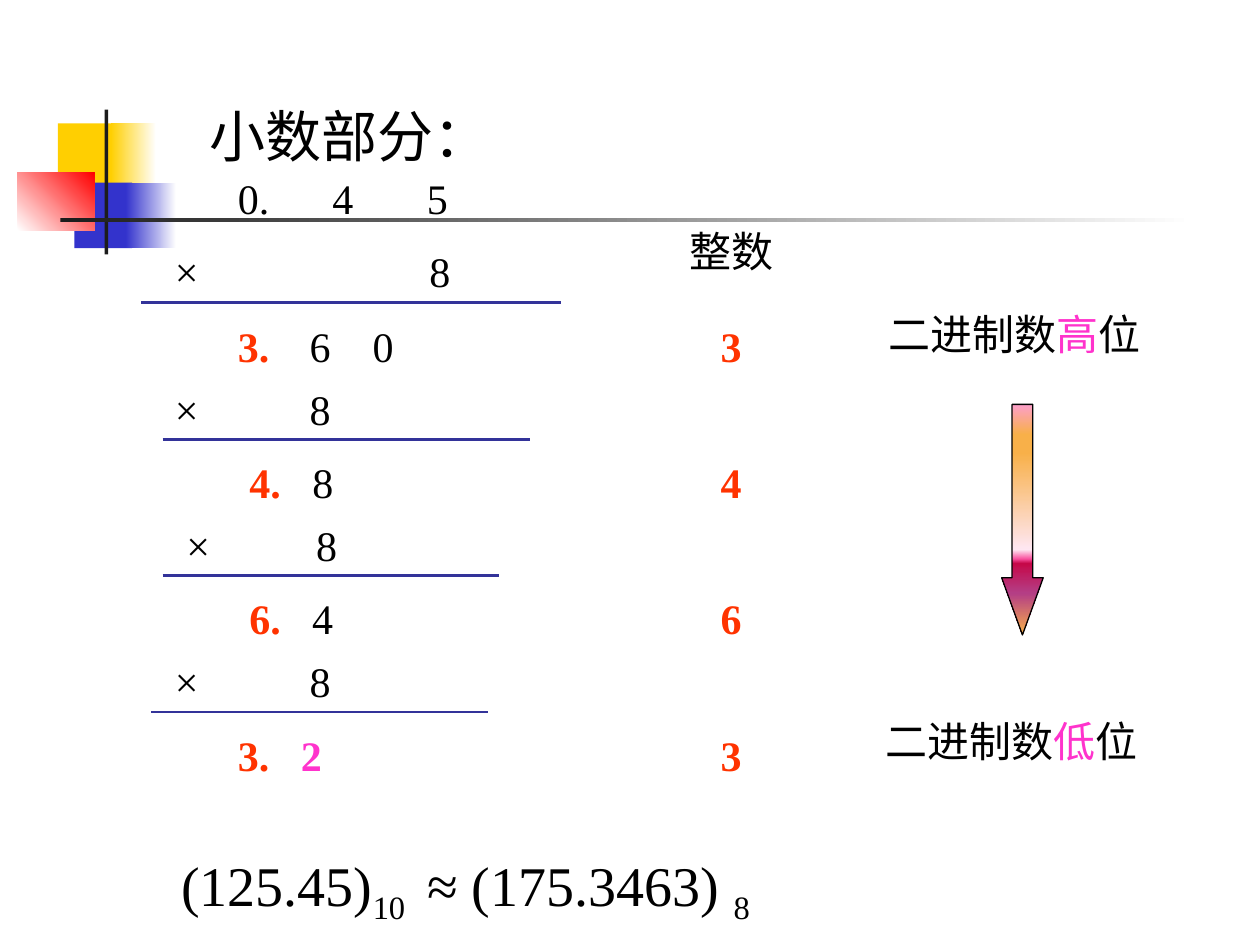
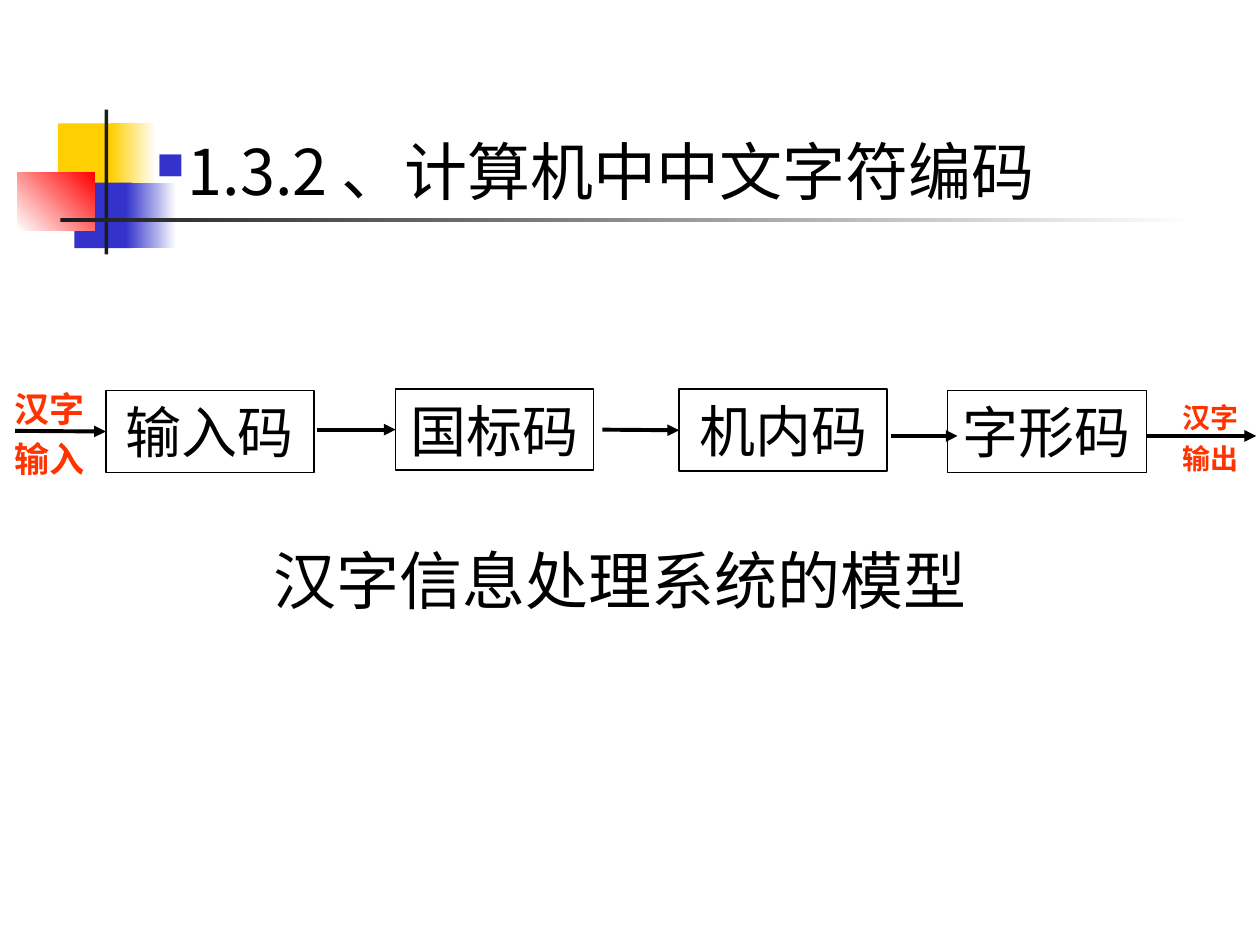
from lxml import etree
from pptx import Presentation
from pptx import util as u
from pptx.dml.color import RGBColor
from pptx.enum import shapes, text
from pptx.oxml import ns

Inches, Pt = u.Inches, u.Pt
BLACK = RGBColor(0x00, 0x00, 0x00)
WHITE = RGBColor(0xFF, 0xFF, 0xFF)
CHARCOAL = RGBColor(0x1C, 0x1C, 0x1C)
YELLOW = RGBColor(0xFF, 0xCF, 0x01)
BLUE = RGBColor(0x33, 0x33, 0xCC)
NAVY = RGBColor(0x33, 0x33, 0x99)
RED = RGBColor(0xFF, 0x00, 0x00)
ORANGE = RGBColor(0xFF, 0x33, 0x00)
PINK = RGBColor(0xFF, 0x33, 0xCC)
AMBER = RGBColor(0xF8, 0xB0, 0x49)
SERIF, SANS, CHINESE = "Times New Roman", "Cabin", "Noto Sans CJK JP"
LEFT, CENTER = text.PP_ALIGN.LEFT, text.PP_ALIGN.CENTER


def write(box, content, size=24, font=SERIF, color=BLACK, bold=False,
          align=LEFT, before=0, tab=0, wrap=True):
    """Fill a box with lines of text, or with one line of (text, format) spans."""
    frame = box.text_frame
    frame.word_wrap = wrap
    frame.auto_size = text.MSO_AUTO_SIZE.NONE
    frame.vertical_anchor = text.MSO_ANCHOR.MIDDLE
    frame.margin_top = frame.margin_bottom = 0
    if isinstance(content, str):
        lines = [[(line, {})] for line in content.split("\n")]
    else:
        lines = [content]
    for number, spans in enumerate(lines):
        para = frame.add_paragraph() if number else frame.paragraphs[0]
        para.alignment = align
        para.space_before = Pt(before if number else 0)
        if tab:
            stops = etree.SubElement(para._p.get_or_add_pPr(), ns.qn("a:tabLst"))
            for step in (1, 2):
                etree.SubElement(stops, ns.qn("a:tab"),
                                 pos=str(Inches(tab * step)), algn="l")
        for words, look in spans:
            span = para.add_run()
            span.text = words
            span.font.size, span.font.bold, span.font.name = Pt(size), bold, font
            span.font.color.rgb = look.get("color", color)
            props = span._r.get_or_add_rPr()
            etree.SubElement(props, ns.qn("a:ea"), typeface=CHINESE)
            if "baseline" in look:
                props.set("baseline", str(look["baseline"]))


def shade(shape, stops, angle=0):
    """Give a shape a linear gradient of (percent, colour) stops."""
    shape.fill.gradient()
    shape.fill.gradient_angle = angle
    stop_list = shape.fill._xPr.find(".//" + ns.qn("a:gsLst"))
    for stop in list(stop_list):
        stop_list.remove(stop)
    for percent, color in stops:
        stop = etree.SubElement(stop_list, ns.qn("a:gs"), pos=str(percent * 1000))
        etree.SubElement(stop, ns.qn("a:srgbClr"), val=str(color))


deck = Presentation()
deck.slide_width, deck.slide_height = Inches(10), Inches(7.5)
layout = deck.slide_layouts[5]
fraction_page = deck.slides.add_slide(layout)
encoding_page = deck.slides.add_slide(layout)

# Shared ornament, kept in the layout behind the placeholders
ORNAMENT = [
    (0.46, 0.98, 0.48, 0.52, YELLOW, None, 0),
    (0.88, 0.98, 0.36, 0.52, YELLOW, WHITE, 0),
    (0.59, 1.45, 0.46, 0.52, BLUE, None, 0),
    (1.0, 1.45, 0.4, 0.52, BLUE, WHITE, 0),
    (0.14, 1.37, 0.61, 0.46, WHITE, RED, 45),
    (0.83, 0.87, 0.03, 1.15, CHARCOAL, None, 0),
    (0.48, 1.73, 9, 0.03, CHARCOAL, WHITE, 0),
]
for number, (x, y, width, height, start, end, angle) in enumerate(ORNAMENT):
    block = fraction_page.shapes.add_shape(
        shapes.MSO_SHAPE.RECTANGLE, Inches(x), Inches(y), Inches(width), Inches(height))
    block.shadow.inherit = False
    block.line.fill.background()
    if end is None:
        block.fill.solid()
        block.fill.fore_color.rgb = start
    else:
        shade(block, [(0, start), (100, end)], angle)
    block.element.nvSpPr.cNvPr.id = 100 + number
    layout.shapes.element.insert(2 + number, block.element)

# Titles
for page, words, at, size, font in [
    (fraction_page, "小数部分：", (1.56, 0.37, 8.44, 1.02), 32, SERIF),
    (encoding_page, "1.3.2 、计算机中中文字符编码", (1.14, 1, 8.11, 0.7), 36, CHINESE),
]:
    title = page.shapes.title
    title.left, title.top, title.width, title.height = map(Inches, at)
    write(title, words, size=size, font=font)

frame = fraction_page.shapes.title.text_frame
frame.vertical_anchor = text.MSO_ANCHOR.BOTTOM
frame.margin_bottom = Inches(0.05)
frame.paragraphs[0].line_spacing = 1.2

# Square bullet of the second title
props = encoding_page.shapes.title.text_frame.paragraphs[0]._p.get_or_add_pPr()
props.set("marL", str(Inches(0.25)))
props.set("indent", str(-Inches(0.25)))
bullet_color = etree.SubElement(props, ns.qn("a:buClr"))
etree.SubElement(bullet_color, ns.qn("a:srgbClr"), val=str(BLUE))
etree.SubElement(props, ns.qn("a:buSzPct"), val="60000")
etree.SubElement(props, ns.qn("a:buFont"), typeface="Wingdings")
etree.SubElement(props, ns.qn("a:buChar"), char="n")

# Repeated multiplication by 8: factor row, rule, then the product row
PLAIN, DIGIT = {}, {"color": ORANGE, "bold": True}
cells = [
    ("0.\t4\t5", 1.79, 1.32, 2.58, {"tab": 0.75}),
    ("整数", 5.37, 1.74, 1.25, PLAIN),
    ("6\t0", 2.36, 2.49, 2.34, {"tab": 0.5}),
    ("8", 2.38, 3.57, 2.58, PLAIN),
    ("4", 2.38, 4.65, 1.17, PLAIN),
    ("2", 2.29, 5.74, 0.75, {"color": PINK, "bold": True}),
    ([("二进制数", {}), ("高", {"color": PINK}), ("位", {})], 6.95, 2.4, 2.42, PLAIN),
    ([("二进制数", {}), ("低", {"color": PINK}), ("位", {})], 6.93, 5.63, 2.58, PLAIN),
]
STEPS = [  # times sign x, factor x, factor y, rule from, rule to, digit, digit x
    (1.29, 3.31, 1.9, 1.12, 4.45, "3", 1.79),
    (1.29, 2.36, 2.99, 1.29, 4.21, "4", 1.88),
    (1.38, 2.41, 4.07, 1.29, 3.96, "6", 1.88),
    (1.29, 2.36, 5.15, 1.2, 3.87, "3", 1.79),
]
connectors = []
for step, (times_x, factor_x, y, start, end, digit, digit_x) in enumerate(STEPS):
    product_y = 2.49 + 1.083 * step
    cells += [
        ("×", times_x, y, 0.75, PLAIN),
        ("8", factor_x, y, 0.58, PLAIN),
        (digit + ".", digit_x, product_y, 0.75, DIGIT),
        (digit, 5.62, product_y, 0.75, DIGIT),
    ]
    rule = fraction_page.shapes.add_connector(
        shapes.MSO_CONNECTOR.STRAIGHT,
        Inches(start), Inches(y + 0.5), Inches(end), Inches(y + 0.5))
    connectors.append((rule, NAVY, 1.5))
for words, x, y, width, look in cells:
    box = fraction_page.shapes.add_textbox(Inches(x), Inches(y), Inches(width), Inches(0.5))
    write(box, words, **look)

# Arrow from the high digit to the low digit
arrow = fraction_page.shapes.add_shape(
    shapes.MSO_SHAPE.DOWN_ARROW, Inches(7.95), Inches(3.21), Inches(0.33), Inches(1.83))
arrow.adjustments[0], arrow.adjustments[1] = 0.5, 1.375
arrow.shadow.inherit = False
arrow.line.color.rgb = BLACK
arrow.line.width = Pt(0.75)
shade(arrow, [(0, "FC9FCB"), (13, AMBER), (21, AMBER), (63, "FEE7F2"),
              (67, "F952A0"), (69, "C50849"), (82, "B43E85"), (100, AMBER)], 270)

# Result of the conversion
result = fraction_page.shapes.add_textbox(
    Inches(1.34), Inches(6.73), Inches(5.28), Inches(0.64))
SUBSCRIPT = {"baseline": -25000}
write(result, [("(125.45)", {}), ("10 ", SUBSCRIPT),
               (" ≈ (175.3463) ", {}), ("8", SUBSCRIPT)], size=32)

# Stages of Chinese character processing
stages = []
for words, x, y, width, height in [
    ("输入码", 0.84, 3.1, 1.65, 0.65),
    ("国标码", 3.14, 3.09, 1.57, 0.64),
    ("机内码", 5.39, 3.09, 1.65, 0.65),
    ("字形码", 7.52, 3.1, 1.58, 0.65),
]:
    stage = encoding_page.shapes.add_shape(
        shapes.MSO_SHAPE.RECTANGLE, Inches(x), Inches(y), Inches(width), Inches(height))
    stage.shadow.inherit = False
    stage.fill.background()
    stage.line.color.rgb = BLACK
    stage.line.width = Pt(1)
    write(stage, words, size=32, font=SANS, align=CENTER)
    stages.append(stage)

# Arrows between the stages
for start, end, y, target in [
    (0.12, 0.84, 3.42, stages[0]),
    (2.52, 3.14, 3.41, stages[1]),
    (4.78, 5.39, 3.41, stages[2]),
    (7.07, 7.6, 3.46, None),
    (9.1, 9.97, 3.46, None),
]:
    flow = encoding_page.shapes.add_connector(
        shapes.MSO_CONNECTOR.STRAIGHT, Inches(start), Inches(y), Inches(end), Inches(y))
    if target is not None:
        flow.end_connect(target, 1)
    etree.SubElement(flow.line._get_or_add_ln(), ns.qn("a:tailEnd"), type="triangle")
    connectors.append((flow, BLACK, 2.25))

# Input and output labels, and the caption
for words, at, look in [
    ("汉字\n输入", (-0.2, 2.97, 1.18, 0.94), {"size": 20, "before": 5, **DIGIT}),
    ("汉字\n输出", (9.09, 3.09, 1.03, 0.77), {"size": 16, "before": 4, **DIGIT}),
    ("汉字信息处理系统的模型", (2.07, 4.25, 5.7, 0.7), {"size": 36, "wrap": False}),
]:
    label = encoding_page.shapes.add_textbox(*map(Inches, at))
    write(label, words, font=SANS, align=CENTER, **look)

# Line style of every connector
for connector, color, weight in connectors:
    connector.line.color.rgb = color
    connector.line.width = Pt(weight)
    etree.SubElement(connector.element.spPr, ns.qn("a:effectLst"))

deck.save("out.pptx")
